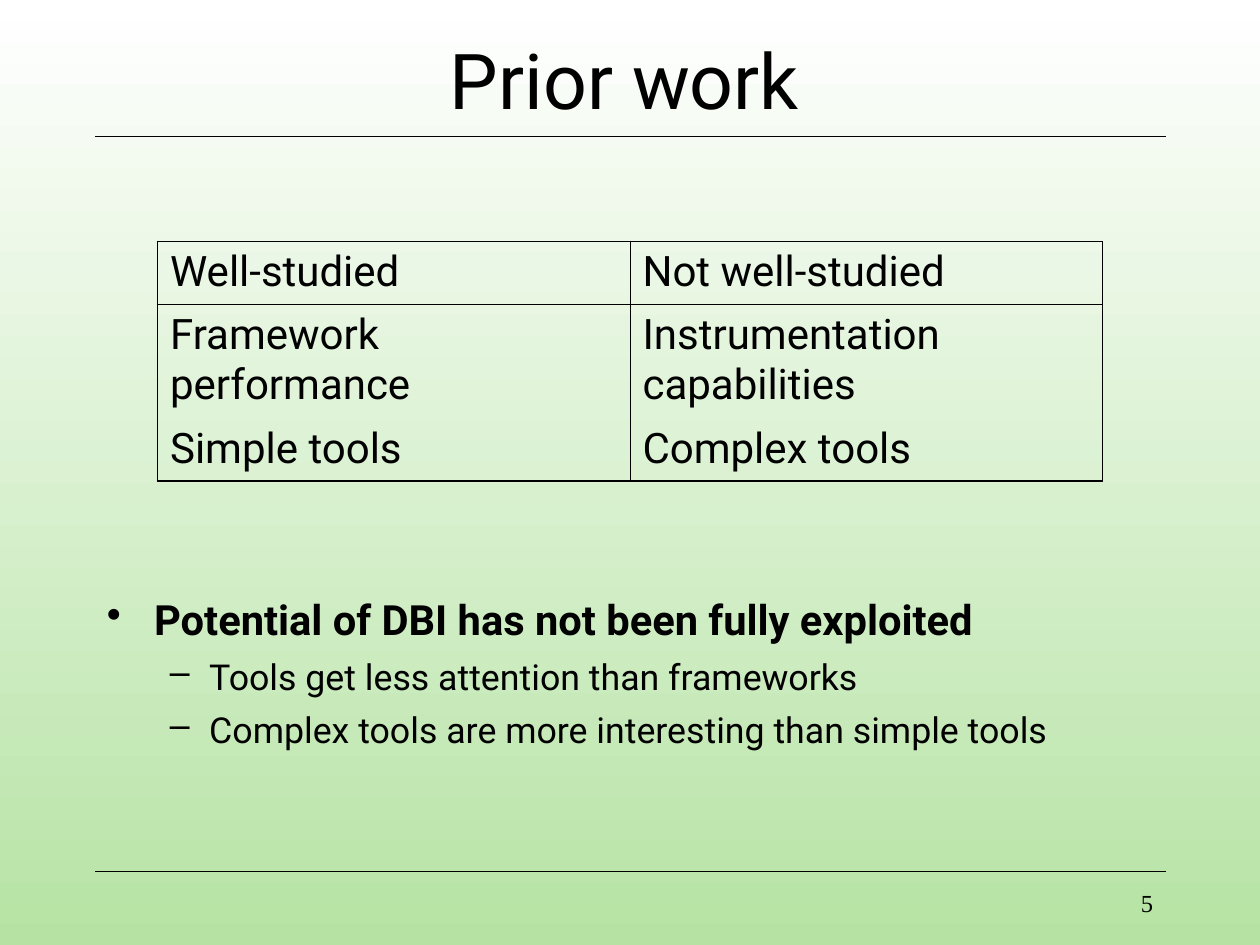
from dataclasses import dataclass

from lxml.etree import SubElement
from pptx import Presentation
from pptx.dml.color import RGBColor
from pptx.enum.text import MSO_ANCHOR, PP_ALIGN
from pptx.oxml.ns import qn
from pptx.util import Pt


@dataclass(frozen=True)
class Theme:
    ink: str = "000000"
    top: str = "FFFFFF"
    base: str = "B6E3A4"
    sans: str = "Roboto"
    serif: str = "Times New Roman"
    title: float = 44
    cell: float = 24
    point: float = 23.8
    sub: float = 20.4
    page: float = 14
    outer: float = 1.08
    inner: float = 0.45


theme = Theme()
ink = RGBColor.from_string(theme.ink)


def style(para, text, size, face=theme.sans, bold=False):
    para.text = text
    font = para.font
    font.name, font.size, font.bold = face, Pt(size), bold
    font.color.rgb = ink


def add_box(left, top, width, height):
    frame = slide.shapes.add_textbox(Pt(left), Pt(top), Pt(width), Pt(height)).text_frame
    frame.word_wrap = True
    return frame


deck = Presentation()
deck.slide_width, deck.slide_height = Pt(720), Pt(540)
slide = deck.slides.add_slide(deck.slide_layouts[6])

# Background, fading from top to bottom
fill = slide.background.fill
fill.gradient()
fill.gradient_angle = 270
for stop, color in zip(fill.gradient_stops, (theme.top, theme.base)):
    stop.color.rgb = RGBColor.from_string(color)

# Rules under the title and above the footer
for y in (78, 498):
    rule = slide.shapes.add_connector(1, Pt(666), Pt(y), Pt(54), Pt(y))
    rule.line.color.rgb = ink
    rule.line.width = Pt(0.75)
    SubElement(rule._element.spPr, qn("a:effectLst"))

# Title
frame = add_box(114, 18, 486, 54)
frame.vertical_anchor = MSO_ANCHOR.MIDDLE
para = frame.paragraphs[0]
style(para, "Prior work", theme.title)
para.alignment = PP_ALIGN.CENTER

# Bulleted points: text, level, size, bold, space before, margin, hang, mark
points = [
    ("Potential of DBI has not been fully exploited", 0, theme.point, True, 7, 27, 27, "•"),
    ("Tools get less attention than frameworks", 1, theme.sub, False, 6, 58.5, 22.5, "–"),
    ("Complex tools are more interesting than simple tools", 1, theme.sub, False, 6, 58.5, 22.5, "–"),
]
frame = add_box(54, 336, 612, 108)
for i, (text, level, size, bold, space, left, hang, mark) in enumerate(points):
    para = frame.add_paragraph() if i else frame.paragraphs[0]
    style(para, text, size, bold=bold)
    para.level = level
    para.space_before = Pt(space)
    props = para._p.get_or_add_pPr()
    props.set("marL", str(Pt(left)))
    props.set("indent", str(-Pt(hang)))
    bullet = SubElement(props, qn("a:buChar"), char=mark)
    props.remove(bullet)
    props.find(qn("a:defRPr")).addprevious(bullet)

# Table: the two lower rows share one open frame
rows = [
    ("Well-studied", "Not well-studied"),
    ("Framework performance", "Instrumentation capabilities"),
    ("Simple tools", "Complex tools"),
]
heights = (36, 64.5, 36)
table = slide.shapes.add_table(3, 2, Pt(90), Pt(138), Pt(540), Pt(sum(heights))).table
table.first_row = table.horz_banding = False
for r, (row, height) in enumerate(zip(rows, heights)):
    table.rows[r].height = Pt(height)
    for c, text in enumerate(row):
        cell = table.cell(r, c)
        cell.margin_left = cell.margin_right = Pt(7.2)
        cell.margin_top = cell.margin_bottom = Pt(3.6)
        para = cell.text_frame.paragraphs[0]
        style(para, text, theme.cell)
        para.space_before = Pt(6)
        sides = {
            "L": theme.inner if c else theme.outer,
            "R": theme.outer if c else theme.inner,
            "T": (theme.outer, theme.inner, 0)[r],
            "B": (theme.inner, 0, theme.outer)[r],
        }
        props = cell._tc.get_or_add_tcPr()
        for side, width in sides.items():
            edge = SubElement(props, qn(f"a:ln{side}"), w=str(Pt(width)))
            if width:
                paint = SubElement(edge, qn("a:solidFill"))
                SubElement(paint, qn("a:srgbClr"), val=theme.ink)
            else:
                SubElement(edge, qn("a:noFill"))
        cell.fill.background()

# Page number
para = add_box(516, 504, 150, 24).paragraphs[0]
style(para, "5", theme.page, theme.serif)
para.alignment = PP_ALIGN.RIGHT

deck.save("out.pptx")
